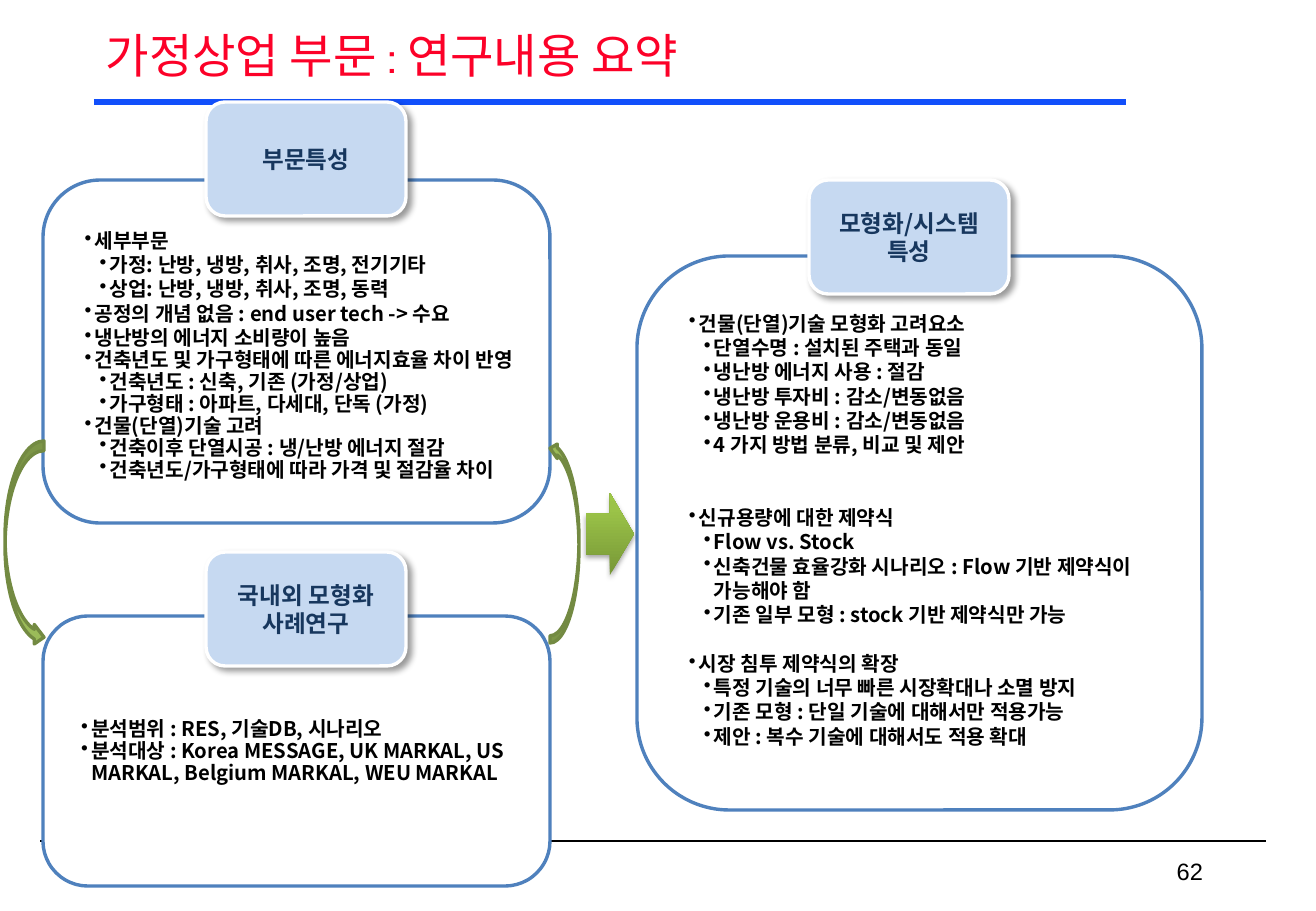
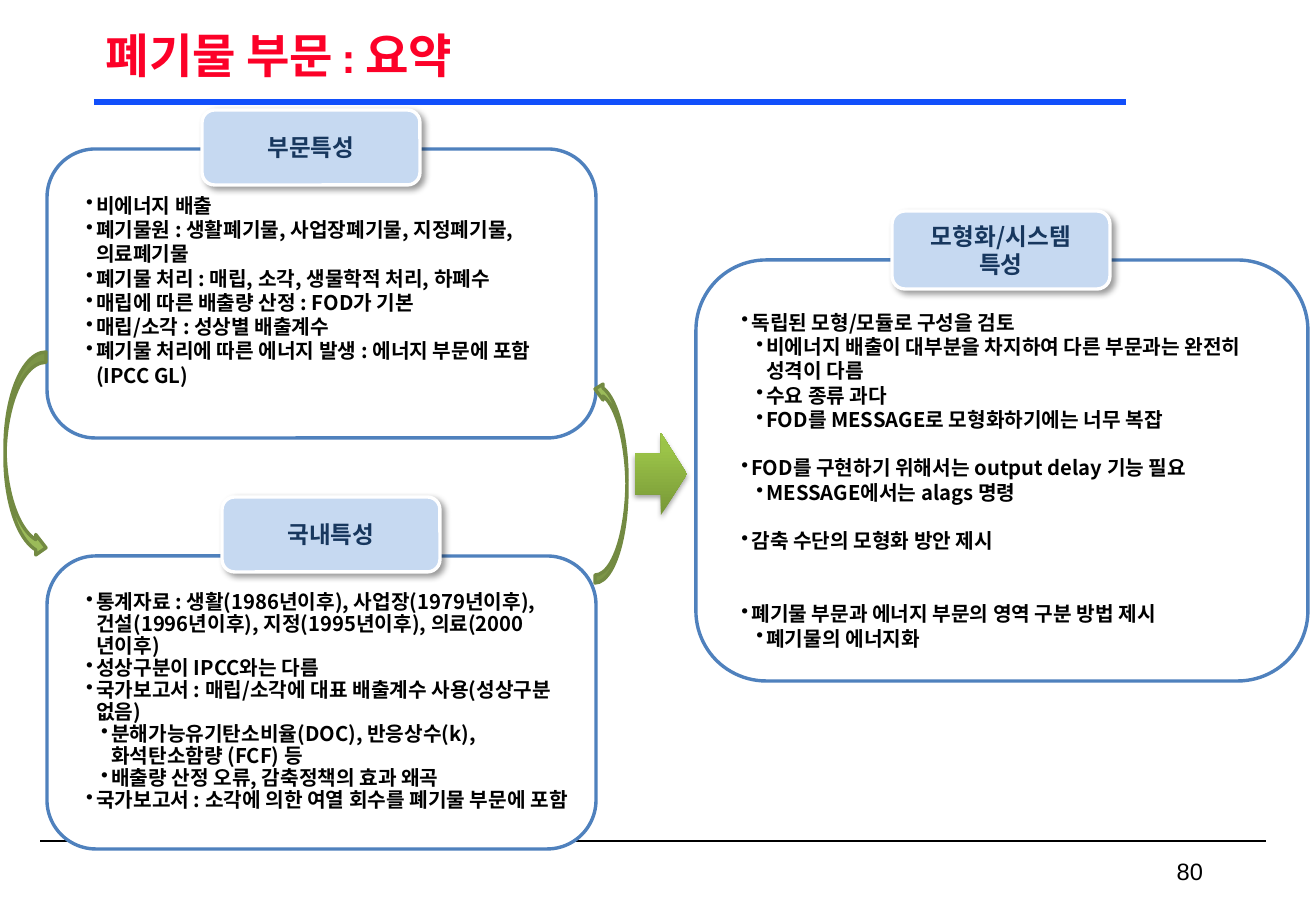
from copy import deepcopy

from lxml.etree import SubElement
from pptx import Presentation
from pptx.dml.color import RGBColor
from pptx.enum.shapes import MSO_CONNECTOR, MSO_SHAPE
from pptx.enum.text import MSO_ANCHOR, PP_ALIGN
from pptx.oxml.ns import qn
from pptx.util import Pt

PX = 7526  # EMU in one pixel
RED = RGBColor(0xFC, 0x01, 0x28)
BLUE = RGBColor(0x11, 0x4F, 0xFB)
BLACK = RGBColor(0x00, 0x00, 0x00)
WHITE = RGBColor(0xFF, 0xFF, 0xFF)
PANEL_BLUE = RGBColor(0x4F, 0x81, 0xBD)
LABEL_BLUE = RGBColor(0xC6, 0xD9, 0xF1)
NAVY = RGBColor(0x17, 0x37, 0x5E)
GREEN = RGBColor(0x9B, 0xBB, 0x59)
DARK_GREEN = RGBColor(0x73, 0x8A, 0x42)
FLOW_STOPS = [(0, RGBColor(0x77, 0x97, 0x37)), (0.8, RGBColor(0x9B, 0xC3, 0x48)),
              (1, RGBColor(0x9D, 0xC7, 0x46))]

BODY_FONT = "Noto Sans CJK KR"
TITLE_STYLE = {"name": "Cabin", "size": Pt(28)}
NUMBER_STYLE = {"name": "Arial", "size": Pt(14)}
LABEL_STYLE = {"name": BODY_FONT, "size": Pt(14), "bold": True}
BODY_STYLE = {"name": BODY_FONT, "size": Pt(12), "bold": True}
LOOSE, TIGHT, LABEL_PITCH = 14.4, 13, 16.8  # line pitch in points
INDENTS, HANGING = (23, 38), 10
CORNER = 0.0488  # text inset of a rounded corner, as a share of the short side

# Panel lines: (level, text, blank lines above, line pitch)
HOME_TRAITS = [
    (0, "세부부문", 0, LOOSE),
    (1, "가정: 난방, 냉방, 취사, 조명, 전기기타", 0, LOOSE),
    (1, "상업: 난방, 냉방, 취사, 조명, 동력", 0, LOOSE),
    (0, "공정의 개념 없음 : end user tech -> 수요", 0, LOOSE),
    (0, "냉난방의 에너지 소비량이 높음", 0, LOOSE),
    (0, "건축년도 및 가구형태에 따른 에너지효율 차이 반영", 0, TIGHT),
    (1, "건축년도 : 신축, 기존 (가정/상업)", 0, TIGHT),
    (1, "가구형태 : 아파트, 다세대, 단독 (가정)", 0, TIGHT),
    (0, "건물(단열)기술 고려", 0, TIGHT),
    (1, "건축이후 단열시공 : 냉/난방 에너지 절감", 0, TIGHT),
    (1, "건축년도/가구형태에 따라 가격 및 절감율 차이", 0, TIGHT),
]
HOME_CASES = [
    (0, "분석범위 : RES, 기술DB, 시나리오", 0, TIGHT),
    (0, "분석대상 : Korea MESSAGE, UK MARKAL, US MARKAL, Belgium MARKAL, WEU MARKAL",
     0, TIGHT),
]
HOME_MODEL = [
    (0, "건물(단열)기술 모형화 고려요소", 0, LOOSE),
    (1, "단열수명 : 설치된 주택과 동일", 0, LOOSE),
    (1, "냉난방 에너지 사용 : 절감", 0, LOOSE),
    (1, "냉난방 투자비 : 감소/변동없음", 0, LOOSE),
    (1, "냉난방 운용비 : 감소/변동없음", 0, LOOSE),
    (1, "4 가지 방법 분류, 비교 및 제안", 0, LOOSE),
    (0, "신규용량에 대한 제약식", 2, LOOSE),
    (1, "Flow vs. Stock", 0, LOOSE),
    (1, "신축건물 효율강화 시나리오 : Flow 기반 제약식이 가능해야 함", 0, LOOSE),
    (1, "기존 일부 모형 : stock 기반 제약식만 가능", 0, LOOSE),
    (0, "시장 침투 제약식의 확장", 1, LOOSE),
    (1, "특정 기술의 너무 빠른 시장확대나 소멸 방지", 0, LOOSE),
    (1, "기존 모형 : 단일 기술에 대해서만 적용가능", 0, LOOSE),
    (1, "제안 : 복수 기술에 대해서도 적용 확대", 0, LOOSE),
]
WASTE_TRAITS = [
    (0, "비에너지 배출", 0, LOOSE),
    (0, "폐기물원 : 생활폐기물, 사업장폐기물, 지정폐기물, 의료폐기물", 0, LOOSE),
    (0, "폐기물 처리 : 매립, 소각, 생물학적 처리, 하폐수", 0, LOOSE),
    (0, "매립에 따른 배출량 산정 : FOD가 기본", 0, LOOSE),
    (0, "매립/소각 : 성상별 배출계수", 0, LOOSE),
    (0, "폐기물 처리에 따른 에너지 발생 : 에너지 부문에 포함 (IPCC GL)", 0, LOOSE),
]
WASTE_KOREA = [
    (0, "통계자료 : 생활(1986년이후), 사업장(1979년이후), 건설(1996년이후), "
        "지정(1995년이후), 의료(2000년이후)", 0, TIGHT),
    (0, "성상구분이 IPCC와는 다름", 0, TIGHT),
    (0, "국가보고서 : 매립/소각에 대표 배출계수 사용(성상구분 없음)", 0, TIGHT),
    (1, "분해가능유기탄소비율(DOC), 반응상수(k), 화석탄소함량 (FCF) 등", 0, TIGHT),
    (1, "배출량 산정 오류, 감축정책의 효과 왜곡", 0, TIGHT),
    (0, "국가보고서 : 소각에 의한 여열 회수를 폐기물 부문에 포함", 0, TIGHT),
]
WASTE_MODEL = [
    (0, "독립된 모형/모듈로 구성을 검토", 0, LOOSE),
    (1, "비에너지 배출이 대부분을 차지하여 다른 부문과는 완전히 성격이 다름", 0, LOOSE),
    (1, "수요 종류 과다", 0, LOOSE),
    (1, "FOD를 MESSAGE로 모형화하기에는 너무 복잡", 0, LOOSE),
    (0, "FOD를 구현하기 위해서는 output delay 기능 필요", 1, LOOSE),
    (1, "MESSAGE에서는 alags 명령", 0, LOOSE),
    (0, "감축 수단의 모형화 방안 제시", 1, LOOSE),
    (0, "폐기물 부문과 에너지 부문의 영역 구분 방법 제시", 2, LOOSE),
    (1, "폐기물의 에너지화", 0, LOOSE),
]

# Slides: boxes are (left, top, width, height); a panel adds its text offset
SLIDES = [
    {"title": "가정상업 부문 : 연구내용 요약", "bold": False, "number": "62",
     "panels": [((637, 256, 565, 554), 55, HOME_MODEL),
                ((43, 616, 507, 270), 103, HOME_CASES),
                ((43, 180, 507, 343), 48, HOME_TRAITS)],
     "labels": [((206, 102, 200, 114), "부문특성"),
                ((206, 552, 200, 114), "국내외 모형화 사례연구"),
                ((809, 180, 200, 114), "모형화/시스템 특성")],
     "loops": [((5, 441, 39, 206), 0), ((550, 441, 29, 202), 180)],
     "flow": (586, 493, 48, 82)},
    {"title": "폐기물 부문 : 요약", "bold": True, "number": "80",
     "panels": [((696, 260, 612, 421), 50, WASTE_MODEL),
                ((47, 556, 549, 293), 36, WASTE_KOREA),
                ((47, 149, 549, 289), 44, WASTE_TRAITS)],
     "labels": [((202, 110, 218, 75), "부문특성"),
                ((222, 497, 218, 75), "국내특성"),
                ((892, 211, 218, 78), "모형화/시스템 특성")],
     "loops": [((5, 352, 41, 206), 0), ((595, 381, 32, 202), 180)],
     "flow": (635, 433, 52, 82)},
]


def emu(lengths):
    return [int(length * PX) for length in lengths]


def add_run(paragraph, text, style, color):
    run = paragraph.add_run()
    run.text = text
    for key, value in style.items():
        setattr(run.font, key, value)
    run.font.color.rgb = color
    SubElement(run.font._element, qn("a:ea"), typeface=style["name"])


def add_rule(slide, ends, color, weight):
    rule = slide.shapes.add_connector(MSO_CONNECTOR.STRAIGHT, *emu(ends))
    rule.line.color.rgb = color
    rule.line.width = Pt(weight)
    SubElement(rule._element.spPr, qn("a:effectLst"))


def add_text(slide, box, text, style, color, align, spacing=1.0):
    frame = slide.shapes.add_textbox(*emu(box)).text_frame
    frame.word_wrap = True
    frame.vertical_anchor = MSO_ANCHOR.MIDDLE
    paragraph = frame.paragraphs[0]
    paragraph.alignment = align
    paragraph.line_spacing = spacing
    add_run(paragraph, text, style, color)


def add_filled(slide, kind, box, fill=None, line=None):
    shape = slide.shapes.add_shape(kind, *emu(box))
    shape.shadow.inherit = False
    if fill is not None:
        shape.fill.solid()
        shape.fill.fore_color.rgb = fill
    if line is None:
        shape.line.fill.background()
    else:
        shape.line.color.rgb = line
        shape.line.width = Pt(2)
    return shape


def add_shadow(shape, opacity, blur, distance, angle):
    effects = shape._element.spPr.find(qn("a:effectLst"))
    shadow = SubElement(effects, qn("a:outerShdw"), blurRad=str(Pt(blur)),
                        dist=str(Pt(distance)), dir=str(angle * 60000),
                        algn="tl", rotWithShape="0")
    black = SubElement(shadow, qn("a:srgbClr"), val=str(BLACK))
    SubElement(black, qn("a:alpha"), val=str(opacity * 1000))


def add_bullet(paragraph, level):
    properties = paragraph._p.get_or_add_pPr()
    properties.set("marL", str(INDENTS[level] * PX))
    properties.set("indent", str(-HANGING * PX))
    SubElement(properties, qn("a:buChar"), char="•")


def add_panel(slide, box, text_offset, lines):
    panel = add_filled(slide, MSO_SHAPE.ROUNDED_RECTANGLE, box, WHITE, PANEL_BLUE)
    frame = panel.text_frame
    frame.word_wrap = True
    frame.vertical_anchor = MSO_ANCHOR.TOP
    frame.margin_top = int((text_offset - CORNER * min(box[2:])) * PX)
    frame.margin_bottom = 0
    for index, (level, text, blanks, pitch) in enumerate(lines):
        paragraph = frame.add_paragraph() if index else frame.paragraphs[0]
        add_bullet(paragraph, level)
        paragraph.alignment = PP_ALIGN.LEFT
        paragraph.line_spacing = Pt(pitch)
        if blanks:
            paragraph.space_before = Pt(blanks * LOOSE)
        add_run(paragraph, text, BODY_STYLE, BLACK)


def add_label(slide, box, text):
    label = add_filled(slide, MSO_SHAPE.ROUNDED_RECTANGLE, box, LABEL_BLUE, WHITE)
    add_shadow(label, 40, 4, 3, 45)
    label.text_frame.word_wrap = True
    label.text_frame.vertical_anchor = MSO_ANCHOR.MIDDLE
    paragraph = label.text_frame.paragraphs[0]
    paragraph.alignment = PP_ALIGN.CENTER
    paragraph.line_spacing = Pt(LABEL_PITCH)
    add_run(paragraph, text, LABEL_STYLE, NAVY)


def add_loop(slide, box, rotation):
    loop = add_filled(slide, MSO_SHAPE.CURVED_RIGHT_ARROW, box, GREEN, DARK_GREEN)
    loop.rotation = rotation


def add_flow(slide, box):
    flow = add_filled(slide, MSO_SHAPE.RIGHT_ARROW, box)
    flow.fill.gradient()
    flow.fill.gradient_angle = 90
    stops = flow._element.spPr.find(qn("a:gradFill")).find(qn("a:gsLst"))
    stops.append(deepcopy(stops[-1]))
    for stop, (position, color) in zip(flow.fill.gradient_stops, FLOW_STOPS):
        stop.position = position
        stop.color.rgb = color
    add_shadow(flow, 35, 3.1, 1.8, 90)


def add_frame(slide, title, bold, number):
    add_rule(slide, (1266, 841, 40, 841), BLACK, 1)
    add_rule(slide, (94, 102, 1126, 102), BLUE, 3.75)
    add_text(slide, (94, 21, 1129, 75), title, {**TITLE_STYLE, "bold": bold}, RED,
             PP_ALIGN.JUSTIFY, 0.9)
    add_text(slide, (942, 851, 273, 40), number, NUMBER_STYLE, BLACK, PP_ALIGN.RIGHT)


def main():
    deck = Presentation()
    deck.slide_width, deck.slide_height = emu((1316, 911))
    for content in SLIDES:
        slide = deck.slides.add_slide(deck.slide_layouts[6])
        add_frame(slide, content["title"], content["bold"], content["number"])
        for panel in content["panels"]:
            add_panel(slide, *panel)
        for label in content["labels"]:
            add_label(slide, *label)
        for loop in content["loops"]:
            add_loop(slide, *loop)
        add_flow(slide, content["flow"])
    deck.save("out.pptx")


if __name__ == "__main__":
    main()
